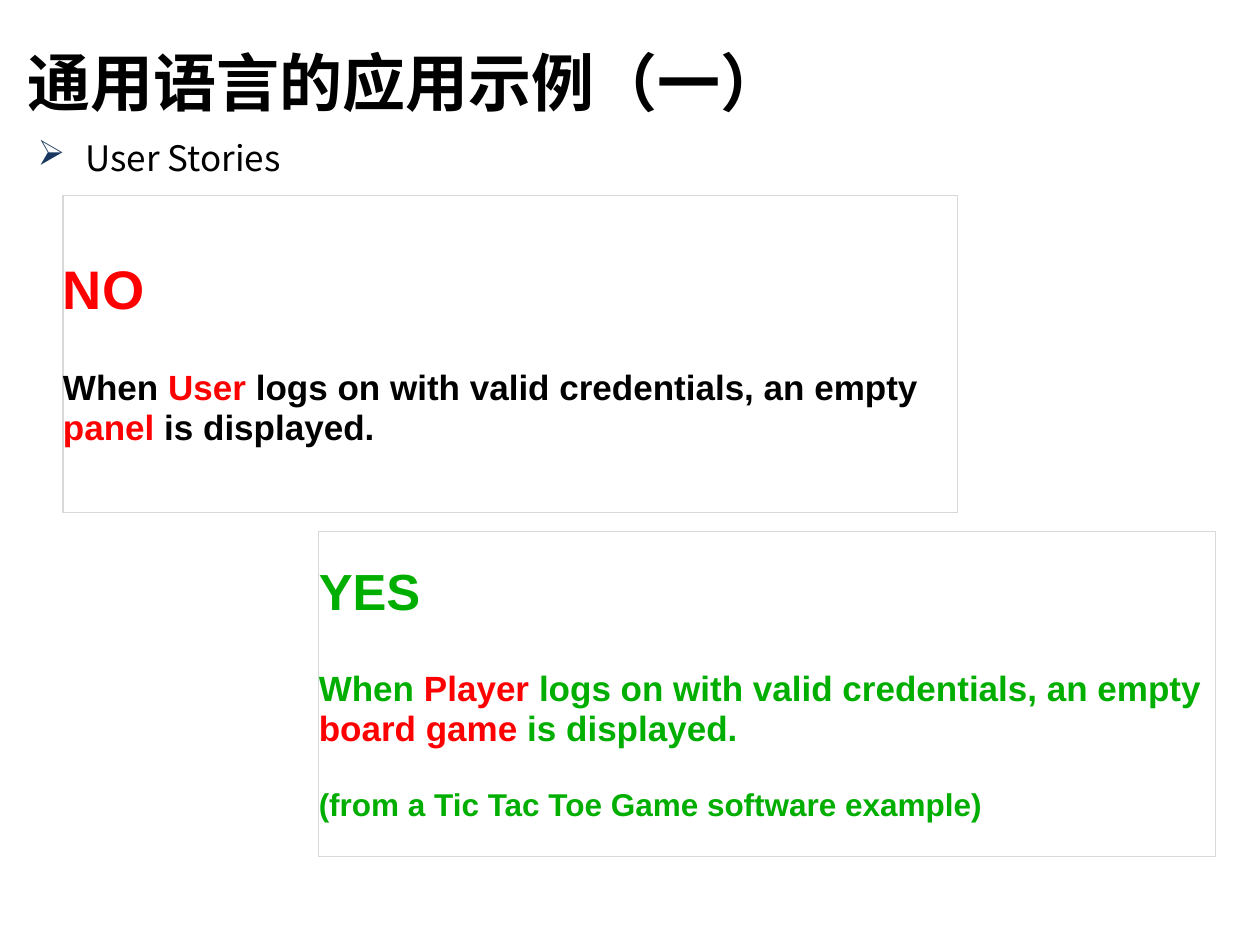
from lxml import etree
from pptx import Presentation
from pptx.dml.color import RGBColor
from pptx.enum.shapes import MSO_SHAPE
from pptx.enum.text import MSO_ANCHOR, PP_ALIGN
from pptx.oxml.ns import qn
from pptx.util import Inches, Pt

RECTANGLE = MSO_SHAPE.RECTANGLE
TOP, MIDDLE = MSO_ANCHOR.TOP, MSO_ANCHOR.MIDDLE
LEFT = PP_ALIGN.LEFT
BLACK = RGBColor(0, 0, 0)
RED = RGBColor(0xFF, 0, 0)
GREEN = RGBColor(0, 0xAE, 0)
NAVY = "17375E"
BORDER = RGBColor(0xD9, 0xD9, 0xD9)
HEADING_FONT, STORY_FONT = "Noto Sans CJK SC", "Arial"

TITLE = {"box": (0.12, 0.29, 9.37, 0.71), "anchor": MIDDLE,
         "text": "通用语言的应用示例（一）", "size": 36, "bold": True}
TOPIC = {"box": (0.2, 0.99, 9.53, 6.51), "anchor": TOP,
         "text": "User Stories", "size": 20, "bold": False}

# Each story paragraph: size, space before, runs of (text, colour)
STORIES = [
    {"box": (0.5, 1.55, 7.1, 2.52), "paragraphs": [
        (31, 0, [("NO", RED)]),
        (20, 27, [("When ", BLACK), ("User", RED),
                  (" logs on with valid credentials, an empty", BLACK),
                  (" panel", RED), (" is displayed.", BLACK)]),
    ]},
    {"box": (2.53, 4.22, 7.12, 2.58), "paragraphs": [
        (29, 0, [("YES", GREEN)]),
        (20, 27, [("When ", GREEN), ("Player", RED),
                  (" logs on with valid credentials, an empty ", GREEN),
                  ("board game", RED), (" is displayed.", GREEN)]),
        (18, 22, [("(from a Tic Tac Toe Game software example)", GREEN)]),
    ]},
]


def add_run(paragraph, text, color, font_name, size, bold):
    run = paragraph.add_run()
    run.text = text
    for name, value in {"name": font_name, "size": Pt(size), "bold": bold}.items():
        setattr(run.font, name, value)
    run.font.color.rgb = color
    east_asian = etree.SubElement(run.font._element, qn("a:ea"))
    east_asian.set("typeface", font_name)


def add_heading(slide, heading):
    frame = slide.shapes.add_textbox(*map(Inches, heading["box"])).text_frame
    frame.word_wrap = True
    frame.vertical_anchor = heading["anchor"]
    paragraph = frame.paragraphs[0]
    add_run(paragraph, heading["text"], BLACK, HEADING_FONT,
            heading["size"], heading["bold"])
    return paragraph


def add_arrow_bullet(paragraph, indent):
    properties = paragraph._p.get_or_add_pPr()
    properties.set("marL", str(Inches(indent)))
    properties.set("indent", str(-Inches(indent)))
    color = etree.SubElement(properties, qn("a:buClr"))
    etree.SubElement(color, qn("a:srgbClr")).set("val", NAVY)
    etree.SubElement(properties, qn("a:buChar")).set("char", "➢")


def add_story(slide, story):
    shape = slide.shapes.add_shape(RECTANGLE, *map(Inches, story["box"]))
    shape.shadow.inherit = False
    shape.fill.background()
    shape.line.color.rgb = BORDER
    shape.line.width = Pt(0.75)
    frame = shape.text_frame
    frame_format = {"word_wrap": True, "vertical_anchor": MIDDLE,
                    "margin_left": 0, "margin_right": 0,
                    "margin_top": 0, "margin_bottom": 0}
    for name, value in frame_format.items():
        setattr(frame, name, value)
    for index, (size, space_before, runs) in enumerate(story["paragraphs"]):
        paragraph = frame.add_paragraph() if index else frame.paragraphs[0]
        paragraph.alignment = LEFT
        paragraph.line_spacing = 0.95
        if space_before:
            paragraph.space_before = Pt(space_before)
        for text, color in runs:
            add_run(paragraph, text, color, STORY_FONT, size, True)


def main():
    presentation = Presentation()
    presentation.slide_width, presentation.slide_height = Inches(10), Inches(7.5)
    slide = presentation.slides.add_slide(presentation.slide_layouts[6])
    add_heading(slide, TITLE)
    topic = add_heading(slide, TOPIC)
    topic.line_spacing = Pt(27)
    add_arrow_bullet(topic, 0.38)
    for story in STORIES:
        add_story(slide, story)
    presentation.save("out.pptx")


if __name__ == "__main__":
    main()
